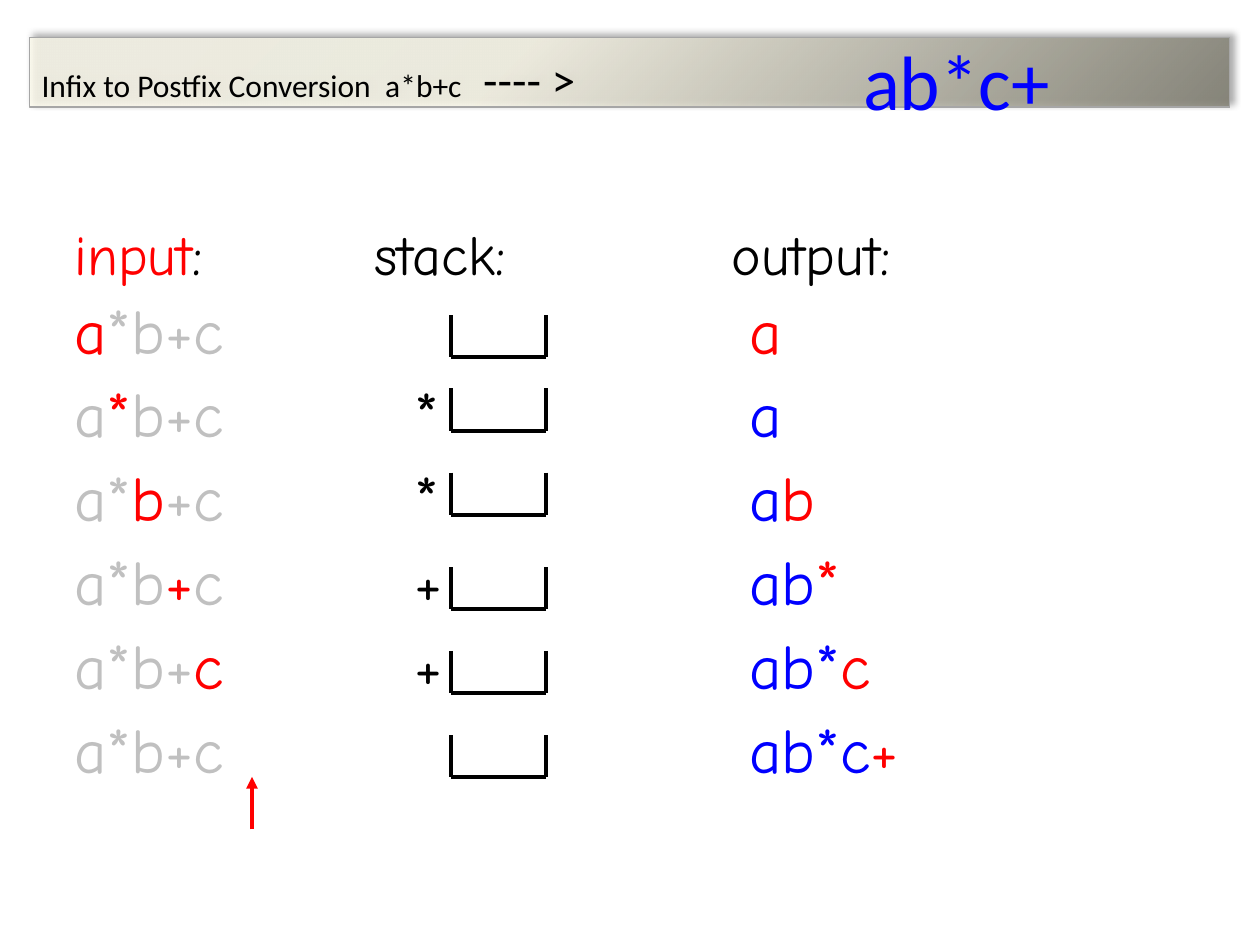
from lxml.etree import SubElement
from pptx import Presentation
from pptx.dml.color import RGBColor
from pptx.enum.shapes import MSO_CONNECTOR, MSO_SHAPE
from pptx.enum.text import MSO_ANCHOR, PP_ALIGN
from pptx.oxml import parse_xml
from pptx.oxml.ns import nsdecls, qn
from pptx.util import Cm, Pt

BLACK = RGBColor(0x00, 0x00, 0x00)
RED = RGBColor(0xFF, 0x00, 0x00)
BLUE = RGBColor(0x00, 0x00, 0xFF)
GREY = RGBColor(0xC0, 0xC0, 0xC0)
BORDER = RGBColor(0xA6, 0xA6, 0xA6)
GRADIENT = [(0, RGBColor(0xFE, 0xFC, 0xEE)), (40, RGBColor(0xFD, 0xFA, 0xEA)),
            (100, RGBColor(0x7B, 0x79, 0x6B))]

TITLE_FONT = "Calibri"
BODY_FONT = "Comic Neue"
EXPRESSION = "a*b+c"
STEPS = [
    (0, "", "", "a"),
    (1, "*", "a", ""),
    (2, "*", "a", "b"),
    (3, "+", "ab", "*"),
    (4, "+", "ab*", "c"),
    (5, "", "ab*c", "+"),
]
STACK_TOPS = [6.35, 7.83, 9.53, 11.43, 13.12, 14.82]


def add_text(para, text, size=36, color=BLACK, font=BODY_FONT):
    if not text:
        return
    span = para.add_run()
    span.text = text
    span.font.size = Pt(size)
    span.font.name = font
    span.font.color.rgb = color


def set_tabs(para, stops):
    tabs = SubElement(para._p.get_or_add_pPr(), qn("a:tabLst"))
    for stop in stops:
        SubElement(tabs, qn("a:tab"), pos=str(Cm(stop)), algn="l")


def add_line(shapes, start, end, color=BLACK):
    line = shapes.add_connector(MSO_CONNECTOR.STRAIGHT, *map(Cm, start + end))
    line.line.color.rgb = color
    line.line.width = Pt(2.25)
    SubElement(line._element.spPr, qn("a:effectLst"))
    return line


def style_banner(banner):
    banner.line.color.rgb = BORDER
    banner.line.width = Pt(0.75)
    stops = "".join(
        f'<a:gs pos="{position * 1000}"><a:srgbClr val="{color}">'
        f'<a:alpha val="79000"/></a:srgbClr></a:gs>'
        for position, color in GRADIENT)
    fill = parse_xml(
        f'<a:gradFill {nsdecls("a")} rotWithShape="1"><a:gsLst>{stops}</a:gsLst>'
        '<a:lin ang="2700000" scaled="0"/></a:gradFill>')
    shadow = parse_xml(
        f'<a:effectLst {nsdecls("a")}><a:outerShdw blurRad="{Pt(4)}" dist="{Pt(3)}" '
        'dir="18900000" algn="bl" rotWithShape="0"><a:srgbClr val="000000">'
        '<a:alpha val="40000"/></a:srgbClr></a:outerShdw></a:effectLst>')
    outline = banner._element.spPr.find(qn("a:ln"))
    outline.addprevious(fill)
    outline.addnext(shadow)


def add_banner(page, left, top, width, height):
    banner = page.shapes.add_shape(
        MSO_SHAPE.RECTANGLE, Cm(left), Cm(top), Cm(width), Cm(height))
    style_banner(banner)
    frame = banner.text_frame
    frame.word_wrap = True
    frame.vertical_anchor = MSO_ANCHOR.MIDDLE
    para = frame.paragraphs[0]
    para.alignment = PP_ALIGN.LEFT
    set_tabs(para, [8.9])
    for text, size in [("Infix to Postfix Conversion", 18), (" ", 36),
                       (EXPRESSION, 18), ("\t---- >", 27)]:
        add_text(para, text, size=size, font=TITLE_FONT)


def add_trace(page, left, top, width, height):
    box = page.shapes.add_textbox(Cm(left), Cm(top), Cm(width), Cm(height))
    frame = box.text_frame
    frame.word_wrap = True
    header = frame.paragraphs[0]
    header.line_spacing = 0.9
    set_tabs(header, [6.05, 13.25])
    add_text(header, "input", size=32, color=RED)
    add_text(header, ":\tstack:\toutput:", size=32)

    for index, (current, stack, done, added) in enumerate(STEPS):
        para = frame.add_paragraph()
        para.line_spacing = 0.9
        para.space_before = Pt(9 if index else 7)
        set_tabs(para, [6.85, 13.6] if stack else [13.6])
        add_text(para, EXPRESSION[:current], color=GREY)
        add_text(para, EXPRESSION[current:current + 1], color=RED)
        add_text(para, EXPRESSION[current + 1:], color=GREY)
        add_text(para, f"\t{stack}\t" if stack else "\t")
        add_text(para, done, color=BLUE)
        add_text(para, added, color=RED)


def add_stack(page, left, top, width, height):
    group = page.shapes.add_group_shape()
    right, bottom = left + width, top + height
    add_line(group.shapes, (left, top), (left, bottom))
    add_line(group.shapes, (right, top), (right, bottom))
    add_line(group.shapes, (left, bottom), (right, bottom))


def add_end_arrow(page, left, top, height):
    arrow = add_line(page.shapes, (left, top + height), (left, top), color=RED)
    SubElement(arrow.line._get_or_add_ln(), qn("a:tailEnd"), type="triangle")


def add_result(page, left, top, width, height):
    box = page.shapes.add_textbox(Cm(left), Cm(top), Cm(width), Cm(height))
    box.text_frame.word_wrap = True
    add_text(box.text_frame.paragraphs[0], "ab*c+",
             size=44, color=BLUE, font=TITLE_FONT)


def main():
    deck = Presentation()
    deck.slide_width, deck.slide_height = Cm(25.4), Cm(19.05)
    page = deck.slides.add_slide(deck.slide_layouts[6])
    add_banner(page, 0.59, 0.76, 24.2, 1.4)
    add_trace(page, 1.25, 4.45, 22.86, 12.57)
    for top in STACK_TOPS:
        add_stack(page, 9.1, top, 1.9, 0.85)
    add_end_arrow(page, 5.08, 15.66, 1.06)
    add_result(page, 17.15, 0.56, 5.08, 2.12)
    deck.save("out.pptx")


if __name__ == "__main__":
    main()
